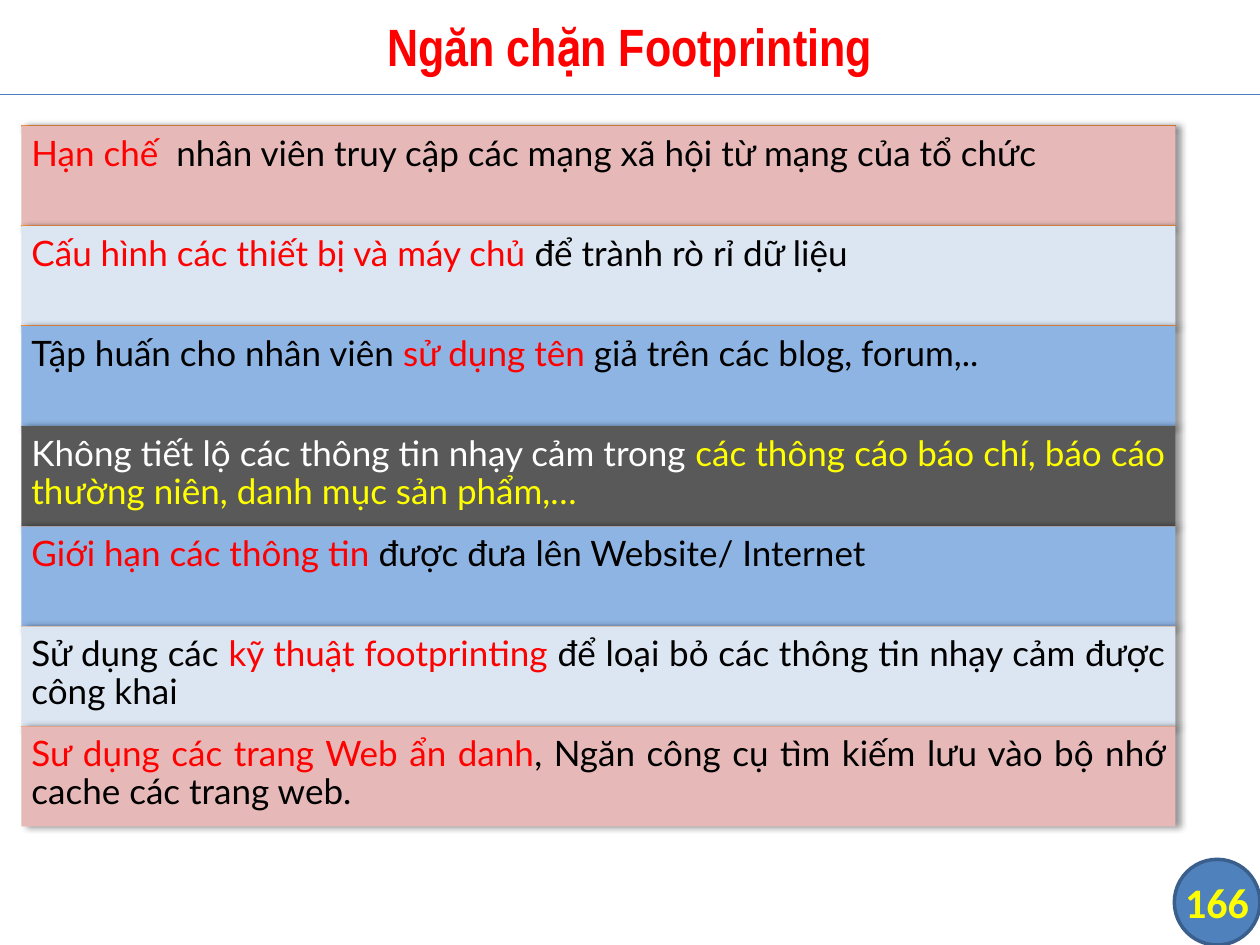
from lxml import etree
from pptx import Presentation
from pptx import util as u
from pptx.dml.color import RGBColor
from pptx.enum import shapes, text
from pptx.oxml import ns

HUES = {
    "red": "FF0000", "black": "000000", "white": "FFFFFF", "yellow": "FFFF00",
    "pink": "E6B9B8", "pale": "DCE6F2", "sky": "8EB4E3", "dark": "595959",
    "rule": "4B7EBC", "orange": "F79646", "blue": "4F81BD", "rim": "3A5F8C",
}
LEFT, TOP, WIDTH, HEIGHT = 0.17, 1, 9.16, 5.56
ROWS = [
    ("pink", [("Hạn chế  ", "red"),
              ("nhân viên truy cập các mạng xã hội từ mạng của tổ chức", "black")]),
    ("pale", [("Cấu hình các thiết bị và máy chủ ", "red"),
              ("để trành rò rỉ dữ liệu", "black")]),
    ("sky", [("Tập huấn cho nhân viên ", "black"), ("sử dụng tên ", "red"),
             ("giả trên các blog, forum,..", "black")]),
    ("dark", [("Không tiết lộ các thông tin nhạy cảm trong ", "white"),
              ("các thông cáo báo chí, báo cáo thường niên, danh mục sản phẩm,…",
               "yellow")]),
    ("sky", [("Giới hạn các thông tin ", "red"),
             ("được đưa lên Website/ Internet", "black")]),
    ("pale", [("Sử dụng các ", "black"), ("kỹ thuật footprinting ", "red"),
              ("để loại bỏ các thông tin nhạy cảm được công khai", "black")]),
    ("pink", [("Sư dụng các trang Web ẩn danh", "red"),
              (", Ngăn công cụ tìm kiếm lưu vào bộ nhớ cache các trang web.",
               "black")]),
]


def hue(name):
    """Return the named colour."""
    return RGBColor.from_string(HUES[name])


def style(font, face, size, tint=None, bold=False):
    """Set face, size, weight and, if given, colour of a font."""
    font.name, font.size, font.bold = face, u.Pt(size), bold
    if tint:
        font.color.rgb = hue(tint)


def shade(shape, alpha=0, blur=0, dist=0, angle=0):
    """Replace the theme shadow by the given one, or by none."""
    root = etree.SubElement(shape.element.spPr, ns.qn("a:effectLst"))
    if alpha:
        drop = etree.SubElement(
            root, ns.qn("a:outerShdw"), blurRad=str(u.Pt(blur)),
            dist=str(u.Pt(dist)), dir=str(angle * 60000), rotWithShape="0")
        tone = etree.SubElement(drop, ns.qn("a:srgbClr"), val=HUES["black"])
        etree.SubElement(tone, ns.qn("a:alpha"), val=str(alpha * 1000))


def add_rule(slide, left, top, width, tint):
    """Draw a thin level line and return it."""
    x, y = u.Inches(left), u.Inches(top)
    line = slide.shapes.add_connector(
        shapes.MSO_CONNECTOR.STRAIGHT, x, y, x + u.Inches(width), y)
    line.line.color.rgb = hue(tint)
    line.line.width = u.Pt(0.75)
    return line


def add_form(slide, kind, box, fill, inset):
    """Draw a filled shape with even text insets."""
    form = slide.shapes.add_shape(kind, *map(u.Inches, box))
    form.fill.solid()
    form.fill.fore_color.rgb = hue(fill)
    frame = form.text_frame
    frame.margin_left = frame.margin_right = u.Inches(inset)
    frame.margin_top = frame.margin_bottom = u.Inches(inset)
    return form


def add_row(slide, top, height, fill, parts):
    """Draw one band with its top line and tinted words."""
    shade(add_rule(slide, LEFT, top, WIDTH, "orange"), 38, 3.1, 1.6, 90)
    band = add_form(slide, shapes.MSO_SHAPE.RECTANGLE,
                    (LEFT, top, WIDTH, height), fill, 0.08)
    band.line.fill.background()
    shade(band, 40, 4, 3)
    frame = band.text_frame
    frame.word_wrap = True
    frame.vertical_anchor = text.MSO_ANCHOR.TOP
    para = frame.paragraphs[0]
    para.alignment = text.PP_ALIGN.JUSTIFY
    para.line_spacing = 0.9
    style(para.font, "Lato", 20)
    for words, tint in parts:
        run = para.add_run()
        run.text = words
        style(run.font, "Lato", 20, tint)


def add_badge(slide, label):
    """Draw the page number in a disc."""
    disc = add_form(slide, shapes.MSO_SHAPE.FLOWCHART_CONNECTOR,
                    (9.32, 6.82, 0.68, 0.68), "blue", 0)
    disc.line.color.rgb = hue("rim")
    disc.line.width = u.Pt(2)
    shade(disc)
    frame = disc.text_frame
    frame.word_wrap = False
    frame.vertical_anchor = text.MSO_ANCHOR.MIDDLE
    para = frame.paragraphs[0]
    para.text = label
    para.alignment = text.PP_ALIGN.CENTER
    style(para.font, "Calibri", 24, "yellow", True)


def set_title(slide, words):
    """Place and format the title."""
    head = slide.shapes.title
    head.left, head.top, head.width, head.height = map(
        u.Inches, (0, -0.03, 10, 0.78))
    head.text_frame.vertical_anchor = text.MSO_ANCHOR.MIDDLE
    para = head.text_frame.paragraphs[0]
    para.text = words
    para.alignment = text.PP_ALIGN.CENTER
    style(para.font, "Arial Narrow", 30, "red", True)


def main():
    """Build and save the slide."""
    deck = Presentation()
    deck.slide_width, deck.slide_height = u.Inches(10), u.Inches(7.5)
    slide = deck.slides.add_slide(deck.slide_layouts[5])
    set_title(slide, "Ngăn chặn Footprinting")
    shade(add_rule(slide, 0, 0.75, 10, "rule"))
    step = HEIGHT / len(ROWS)
    for i, (fill, parts) in enumerate(ROWS):
        add_row(slide, TOP + i * step, step, fill, parts)
    add_badge(slide, "166")
    deck.save("out.pptx")


if __name__ == "__main__":
    main()
